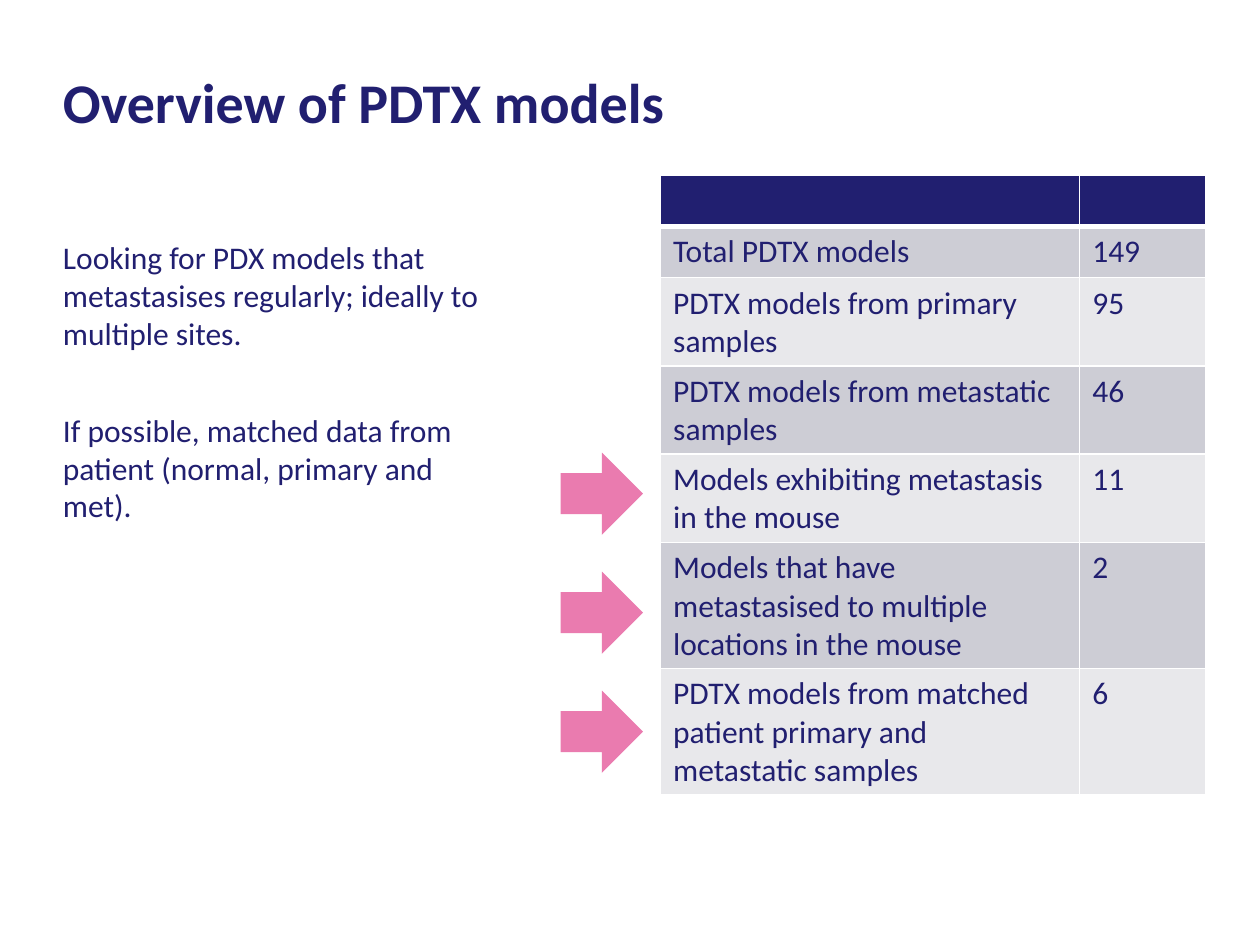
import pptx
import pptx.dml.color
import pptx.enum.shapes
import pptx.enum.text
import pptx.oxml
import pptx.oxml.ns
import pptx.util
from dataclasses import dataclass

Pt = pptx.util.Pt


@dataclass(frozen=True)
class Theme:
    """Colours, type sizes and font of the slide."""
    font: str = "Calibri"
    ink: str = "211F70"
    dark: str = "CDCDD5"
    light: str = "E8E8EB"
    rule: str = "FFFFFF"
    pink: str = "EA7BAF"
    head: int = 32
    body: int = 18


THEME = Theme()
ROWS = [
    ("", ""),
    ("Total PDTX models", "149"),
    ("PDTX models from primary samples", "95"),
    ("PDTX models from metastatic samples", "46"),
    ("Models exhibiting metastasis in the mouse", "11"),
    ("Models that have metastasised to multiple locations in the mouse", "2"),
    ("PDTX models from matched patient primary and metastatic samples", "6"),
]
NOTES = [
    "Looking for PDX models that metastasises regularly; ideally to multiple sites.",
    "If possible, matched data from patient (normal, primary and met).",
]


def apply(item, values):
    """Set each attribute named in a dict."""
    for name, value in values.items():
        setattr(item, name, value)


def rgb(code):
    """Turn a hex code into a colour."""
    return pptx.dml.color.RGBColor.from_string(code)


def paint(item, code):
    """Give a shape or cell a solid fill."""
    item.fill.solid()
    item.fill.fore_color.rgb = rgb(code)


def style(para, size, bold=False):
    """Set the font of a paragraph."""
    apply(para.font, {"name": THEME.font, "size": Pt(size), "bold": bold})
    para.font.color.rgb = rgb(THEME.ink)


def add_text(slide, box, lines, size, bold=False, **form):
    """Add a text box with no insets."""
    frame = slide.shapes.add_textbox(*map(Pt, box)).text_frame
    sides = ("left", "right", "top", "bottom")
    apply(frame, {f"margin_{side}": 0 for side in sides})
    apply(frame, {"word_wrap": True,
                  "vertical_anchor": pptx.enum.text.MSO_ANCHOR.TOP})
    frame.text = "\n".join(lines)
    for para in frame.paragraphs:
        apply(para, form)
        style(para, size, bold)


def add_rule(cell, side, width):
    """Draw one border of a cell."""
    space = pptx.oxml.ns.nsdecls("a")
    cell._tc.get_or_add_tcPr().append(pptx.oxml.parse_xml(
        f'<a:ln{side} {space} w="{Pt(width)}"><a:solidFill>'
        f'<a:srgbClr val="{THEME.rule}"/></a:solidFill></a:ln{side}>'))


def add_grid(slide, left, top, widths, height):
    """Add the banded table of model counts."""
    grid = slide.shapes.add_table(
        len(ROWS), len(widths), Pt(left), Pt(top),
        Pt(sum(widths)), Pt(height * len(ROWS))).table
    for col, width in zip(grid.columns, widths):
        col.width = Pt(width)
    for r, row in enumerate(ROWS):
        band = THEME.dark if r % 2 else THEME.light
        rules = {"L": 1, "R": 1, "T": 3 if r == 1 else 1, "B": 1 if r else 3}
        for c, text in enumerate(row):
            cell = grid.cell(r, c)
            for side, width in rules.items():
                add_rule(cell, side, width)
            paint(cell, band if r else THEME.ink)
            cell.text = text
            style(cell.text_frame.paragraphs[0], THEME.body)


def add_arrow(slide, left, top, size):
    """Add a plain arrow pointing right."""
    kind = pptx.enum.shapes.MSO_SHAPE.RIGHT_ARROW
    arrow = slide.shapes.add_shape(kind, *map(Pt, (left, top, size, size)))
    arrow.shadow.inherit = False
    paint(arrow, THEME.pink)
    arrow.line.fill.background()


def main():
    """Build the slide and save it."""
    deck = pptx.Presentation()
    apply(deck, {"slide_width": Pt(720), "slide_height": Pt(540)})
    slide = deck.slides.add_slide(deck.slide_layouts[6])
    add_text(slide, (36, 41, 648, 77), ["Overview of PDTX models"],
             THEME.head, bold=True, line_spacing=Pt(36))
    add_text(slide, (36, 136, 252, 324), NOTES, THEME.body,
             space_after=Pt(34))
    add_grid(slide, 377.5, 100.3, (239.5, 72), 29.2)
    for step in range(3):
        add_arrow(slide, 320.4, 258.6 + 68 * step, 47)
    deck.save("out.pptx")


if __name__ == "__main__":
    main()
